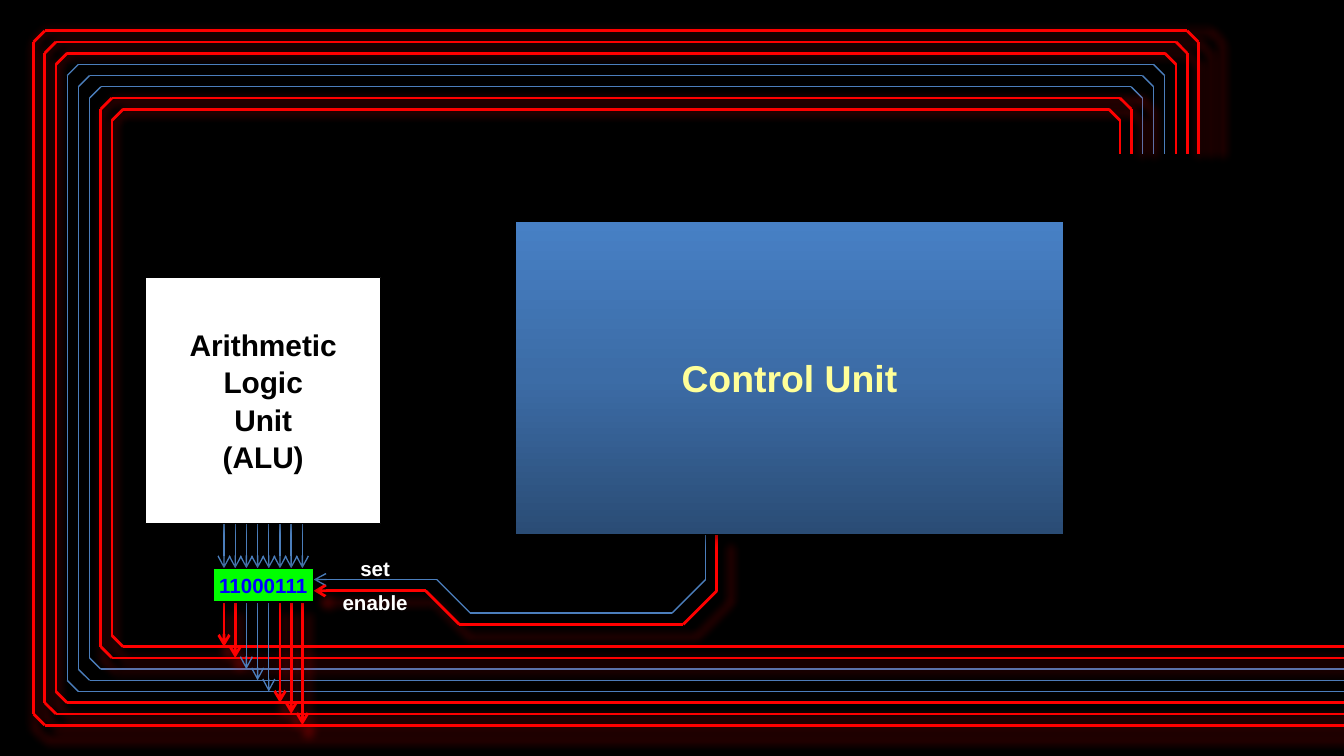
from copy import deepcopy
from dataclasses import dataclass
from itertools import pairwise

from lxml.etree import SubElement
from pptx import Presentation
from pptx.dml.color import RGBColor
from pptx.enum.shapes import MSO_CONNECTOR, MSO_SHAPE
from pptx.enum.text import MSO_ANCHOR, PP_ALIGN
from pptx.oxml.ns import qn
from pptx.util import Pt

BITS = "11000111"
PITCH = 6


@dataclass(frozen=True)
class Theme:
    """Colours, font and sizes of the slide."""
    font: str = "Arial"
    black: str = "000000"
    white: str = "FFFFFF"
    on: str = "FF0000"
    off: str = "4B7EBC"
    register: str = "00FF00"
    bits: str = "0000FF"
    title: str = "FFFF99"
    gradient: tuple = ((0, "2A4C75"), (0.5, "3C6CA6"), (1, "4780C5"))
    title_size: float = 20
    unit_size: float = 16
    small_size: float = 11
    thin: float = 0.75
    thick: float = 1.5


THEME = Theme()


@dataclass(frozen=True)
class Box:
    """A rectangle in points."""
    left: float
    top: float
    width: float
    height: float

    @property
    def right(self):
        """Return the right edge."""
        return self.left + self.width

    @property
    def bottom(self):
        """Return the bottom edge."""
        return self.top + self.height

    def lengths(self):
        """Return the four lengths for python-pptx."""
        return [Pt(v) for v in (self.left, self.top, self.width, self.height)]


def rgb(code):
    """Turn a hex code into a colour."""
    return RGBColor.from_string(code)


def add_glow(shape, color=None):
    """Give a shape a centred soft shadow, or none without a colour."""
    effects = SubElement(shape._element.spPr, qn("a:effectLst"))
    if color:
        shadow = SubElement(effects, qn("a:outerShdw"), blurRad=str(Pt(5)), sx="102000",
                            sy="102000", algn="ctr", rotWithShape="0")
        tone = SubElement(shadow, qn("a:srgbClr"), val=color)
        SubElement(tone, qn("a:alpha"), val="40000")


def add_wire(page, points, live, arrow=False):
    """Draw a wire through the points, with an arrowhead at the first."""
    for index, (start, end) in enumerate(pairwise(points)):
        wire = page.shapes.add_connector(
            MSO_CONNECTOR.STRAIGHT, *[Pt(v) for v in (*start, *end)])
        wire.line.color.rgb = rgb(THEME.on if live else THEME.off)
        wire.line.width = Pt(THEME.thick if live else THEME.thin)
        if arrow and index == 0:
            SubElement(wire.line._get_or_add_ln(), qn("a:headEnd"), type="arrow")
        add_glow(wire, THEME.on if live else None)


def write(shape, lines, size, color, wrap=True):
    """Write centred bold lines into a shape."""
    frame = shape.text_frame
    frame.word_wrap = wrap
    frame.vertical_anchor = MSO_ANCHOR.MIDDLE
    frame.margin_left = frame.margin_right = frame.margin_top = frame.margin_bottom = 0
    for index, line in enumerate(lines):
        para = frame.add_paragraph() if index else frame.paragraphs[0]
        para.alignment = PP_ALIGN.CENTER
        if index:
            para.space_before = Pt(0.9)
        span = para.add_run()
        span.text = line
        span.font.name = THEME.font
        span.font.size = Pt(size)
        span.font.bold = True
        span.font.color.rgb = rgb(color)


def add_block(page, box, fill):
    """Add a rectangle with a plain fill and a thin black edge."""
    block = page.shapes.add_shape(MSO_SHAPE.RECTANGLE, *box.lengths())
    block.fill.solid()
    block.fill.fore_color.rgb = rgb(fill)
    block.line.color.rgb = rgb(THEME.black)
    block.line.width = Pt(THEME.thin)
    add_glow(block, THEME.black)
    return block


def add_bus(page, box, end, tap):
    """Draw the nested bus wires, from the slide edge round to the tap."""
    for index, bit in enumerate(reversed(BITS)):
        inset = index * PITCH
        left, right = box.left + inset, box.right - inset
        top, bottom = box.top + inset, box.bottom - inset
        add_wire(page, [
            (end, bottom), (left + PITCH, bottom), (left, bottom - PITCH),
            (left, top + PITCH), (left + PITCH, top), (right - PITCH, top),
            (right, top + PITCH), (right, tap)], bit == "1")


def add_control_lines(page, box):
    """Draw the set and enable wires with their labels."""
    for index, (name, label_top) in enumerate((("set", -12), ("enable", 6))):
        shift = index * PITCH
        level = box.top + 24 + shift
        add_wire(page, [
            (box.left, level), (box.left + 66 - shift, level),
            (box.left + 84 - shift, level + 18), (box.right - 18 + shift, level + 18),
            (box.right + shift, level), (box.right + shift, box.top)],
            bool(index), arrow=True)
        spot = Box(box.left + 6, box.top + 24 + label_top, 54, 12)
        label = page.shapes.add_textbox(*spot.lengths())
        write(label, [name], THEME.small_size, THEME.white, wrap=False)


def add_control_unit(page, box):
    """Add the control unit with its vertical gradient."""
    block = add_block(page, box, THEME.off)
    block.fill.gradient()
    block.fill.gradient_angle = 90
    first = block._element.spPr.find(".//" + qn("a:gs"))
    first.addnext(deepcopy(first))
    for stop, (position, color) in zip(block.fill.gradient_stops, THEME.gradient):
        stop.position = position
        stop.color.rgb = rgb(color)
    write(block, ["Control Unit"], THEME.title_size, THEME.title)


def add_register(page, box, source, bus):
    """Add the register with its input and output arrows."""
    columns = [box.left + PITCH * (index + 1) for index in range(len(BITS))]
    for column in columns:
        add_wire(page, [(column, box.top), (column, source)], False, arrow=True)
    for index, (column, bit) in enumerate(zip(columns, BITS)):
        target = bus.bottom - PITCH * (len(BITS) - 1 - index)
        add_wire(page, [(column, target), (column, box.bottom)], bit == "1", arrow=True)
    block = add_block(page, box, THEME.register)
    write(block, [BITS], THEME.small_size, THEME.bits, wrap=False)


def add_alu(page, box):
    """Add the arithmetic logic unit."""
    block = add_block(page, box, THEME.white)
    write(block, ["Arithmetic", "Logic", "Unit", "(ALU)"], THEME.unit_size, THEME.black)


def main():
    """Build the slide and save it."""
    deck = Presentation()
    deck.slide_width, deck.slide_height = Pt(720), Pt(405)
    page = deck.slides.add_slide(deck.slide_layouts[6])
    page.background.fill.solid()
    page.background.fill.fore_color.rgb = rgb(THEME.black)

    bus = Box(18, 16.5, 624, 372)
    control = Box(276, 118.5, 294, 168)
    alu = Box(78, 148.5, 126, 132)
    register = Box(114, 304.5, 54, 18)
    add_control_lines(page, Box(register.right, control.bottom, 210, 48))
    add_bus(page, bus, end=720, tap=82.5)
    add_control_unit(page, control)
    add_register(page, register, alu.bottom, bus)
    add_alu(page, alu)
    deck.save("out.pptx")


if __name__ == "__main__":
    main()
